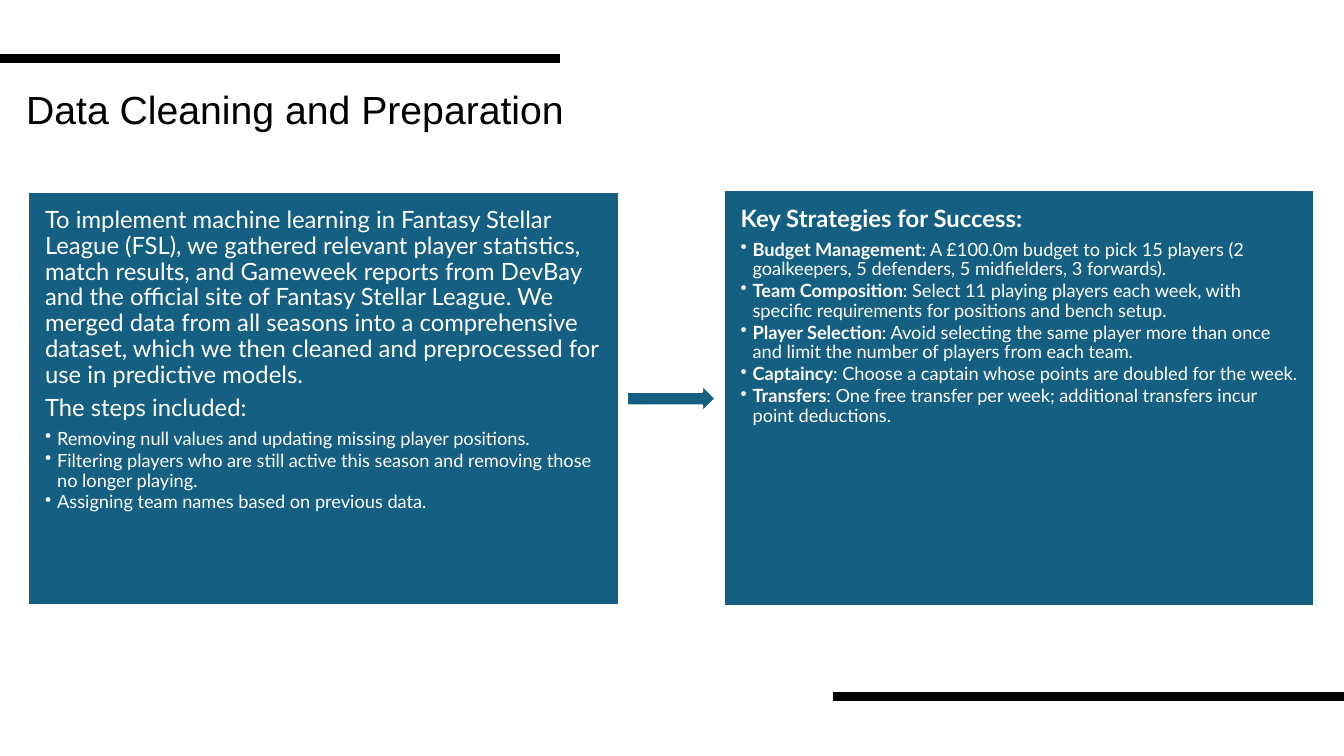
from lxml.etree import SubElement
from pptx import Presentation
from pptx.dml.color import RGBColor
from pptx.enum.shapes import MSO_CONNECTOR, MSO_SHAPE
from pptx.enum.text import MSO_ANCHOR, PP_ALIGN
from pptx.oxml.ns import qn
from pptx.util import Pt

COLORS = {"panel": "156082", "white": "FFFFFF", "black": "000000"}
INDENT = 8.64

# Each paragraph: bulleted?, bold lead, remaining text
PREPARATION = [
    (False, "", "To implement machine learning in Fantasy Stellar League (FSL), we gathered "
     "relevant player statistics, match results, and Gameweek reports from DevBay and the "
     "official site of Fantasy Stellar League. We merged data from all seasons into a "
     "comprehensive dataset, which we then cleaned and preprocessed for use in predictive "
     "models."),
    (False, "", "The steps included:"),
    (True, "", "Removing null values and updating missing player positions."),
    (True, "", "Filtering players who are still active this season and removing those "
     "no longer playing."),
    (True, "", "Assigning team names based on previous data."),
]
STRATEGIES = [
    (False, "Key Strategies for Success:", ""),
    (True, "Budget Management", ": A £100.0m budget to pick 15 players (2 goalkeepers, "
     "5 defenders, 5 midfielders, 3 forwards)."),
    (True, "Team Composition", ": Select 11 playing players each week, with specific "
     "requirements for positions and bench setup."),
    (True, "Player Selection", ": Avoid selecting the same player more than once and limit "
     "the number of players from each team."),
    (True, "Captaincy", ": Choose a captain whose points are doubled for the week."),
    (True, "Transfers", ": One free transfer per week; additional transfers incur point "
     "deductions."),
]


def rgb(name):
    return RGBColor.from_string(COLORS[name])


def add_block(slide, preset, left, top, width, height):
    block = slide.shapes.add_shape(preset, Pt(left), Pt(top), Pt(width), Pt(height))
    block.shadow.inherit = False
    block.fill.solid()
    block.fill.fore_color.rgb = rgb("panel")
    block.line.color.rgb = rgb("white")
    block.line.width = Pt(1.5)
    return block


prs = Presentation()
prs.slide_width, prs.slide_height = Pt(960), Pt(540)
slide = prs.slides.add_slide(prs.slide_layouts[6])

# Title
title = slide.shapes.add_textbox(Pt(7.2), Pt(61.2), Pt(406.8), Pt(41.8))
title.text_frame.word_wrap = True
heading = title.text_frame.paragraphs[0]
heading.text = "Data Cleaning and Preparation"
heading.alignment = PP_ALIGN.CENTER
heading.line_spacing = 0.9
heading.font.name = "Arial"
heading.font.size = Pt(28)
heading.font.color.rgb = rgb("black")

# Accent rules at the top left and bottom right
for start, end, y in [(0, 400.3, 41.8), (594.7, 960, 497.5)]:
    rule = slide.shapes.add_connector(MSO_CONNECTOR.STRAIGHT, Pt(start), Pt(y), Pt(end), Pt(y))
    rule.line.color.rgb = rgb("black")
    rule.line.width = Pt(6.5)
    SubElement(rule._element.spPr, qn("a:effectLst"))

# Text panels
for left, top, height, content in [(20.2, 136.8, 295.2, PREPARATION),
                                   (517, 135.7, 297.2, STRATEGIES)]:
    panel = add_block(slide, MSO_SHAPE.RECTANGLE, left, top, 421.9, height)
    frame = panel.text_frame
    frame.word_wrap = True
    frame.vertical_anchor = MSO_ANCHOR.TOP
    frame.margin_left = frame.margin_right = Pt(12)
    frame.margin_top = frame.margin_bottom = Pt(12)
    for index, (bulleted, lead, rest) in enumerate(content):
        paragraph = frame.add_paragraph() if index else frame.paragraphs[0]
        paragraph.alignment = PP_ALIGN.LEFT
        paragraph.line_spacing = 0.9
        paragraph.space_after = Pt(1.6 if bulleted else 5.6)
        paragraph.font.name = "Lato"
        paragraph.font.size = Pt(13 if bulleted else 17)
        paragraph.font.color.rgb = rgb("white")
        if bulleted:
            paragraph.level = 1
            properties = paragraph._p.get_or_add_pPr()
            properties.set("marL", str(Pt(INDENT)))
            properties.set("indent", str(-Pt(INDENT)))
            bullet = SubElement(properties, qn("a:buChar"), char="•")
            properties.find(qn("a:defRPr")).addprevious(bullet)
        for text, bold in [(lead, True), (rest, False)]:
            if text:
                run = paragraph.add_run()
                run.text = text
                run.font.bold = bold

# Arrow between the panels
add_block(slide, MSO_SHAPE.RIGHT_ARROW, 447.8, 275, 63.4, 19.4)

prs.save("out.pptx")
